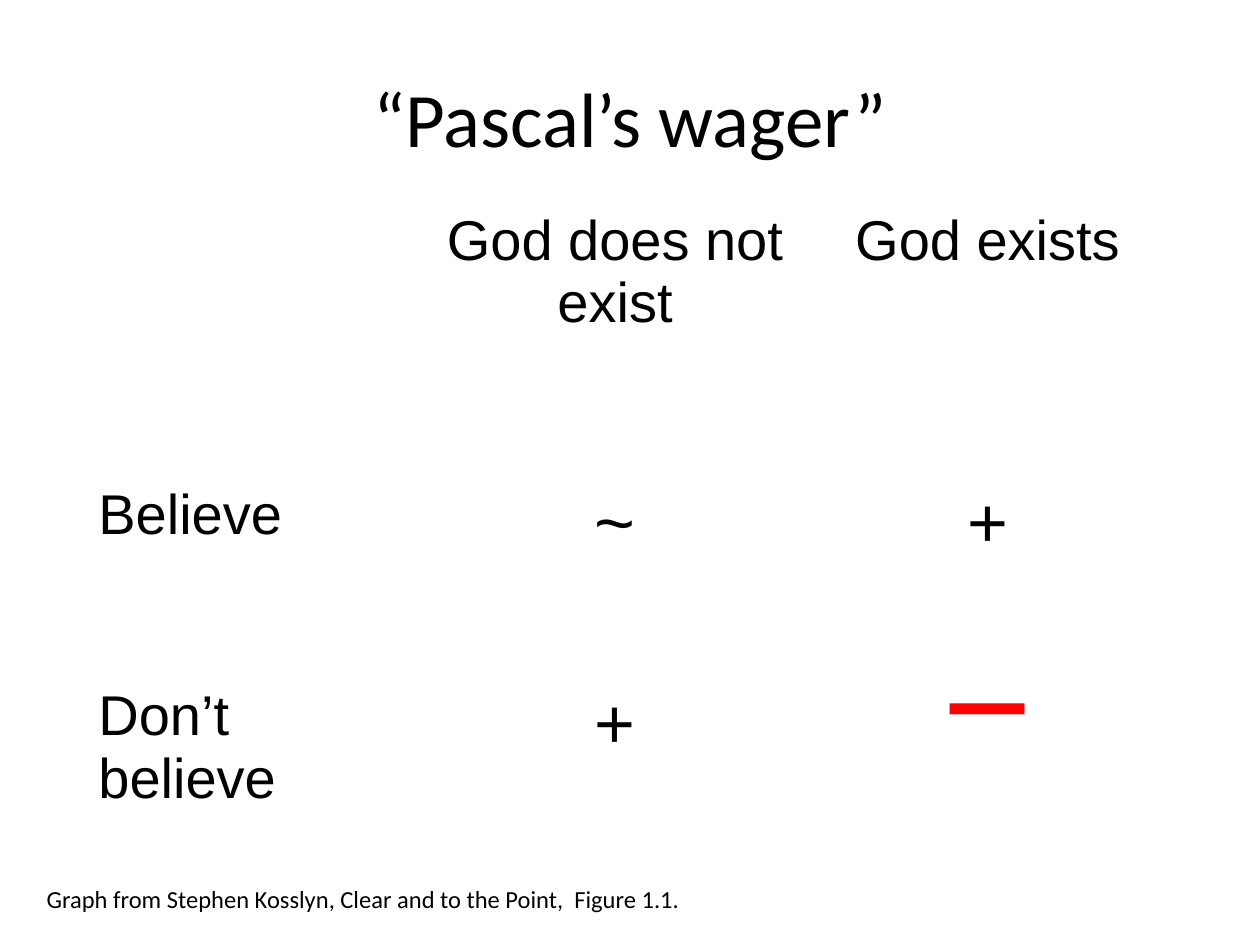
from dataclasses import dataclass

from pptx import Presentation
from pptx.dml.color import RGBColor
from pptx.enum.text import MSO_ANCHOR, PP_ALIGN
from pptx.util import Cm, Pt


@dataclass(frozen=True)
class Theme:
    black: RGBColor = RGBColor(0, 0, 0)
    red: RGBColor = RGBColor(255, 0, 0)
    heading_font: str = "Calibri"
    table_font: str = "Arial"
    title_size: Pt = Pt(44)
    label_size: Pt = Pt(32)
    symbol_size: Pt = Pt(40)
    minus_size: Pt = Pt(88)
    caption_size: Pt = Pt(14)


THEME = Theme()
INSET = Cm(0.13)
LOWERED_INSET = Cm(1.43)

COLUMN_WIDTHS = [Cm(7.01), Cm(7.32), Cm(7.7)]
ROW_HEIGHTS = [Cm(4.24), Cm(4.05), Cm(4.24)]

LABEL = {"name": THEME.table_font, "size": THEME.label_size, "color": THEME.black}
SYMBOL = LABEL | {"size": THEME.symbol_size}
MINUS = LABEL | {"size": THEME.minus_size, "color": THEME.red}
TITLE = LABEL | {"name": THEME.heading_font, "size": THEME.title_size}
CAPTION = TITLE | {"size": THEME.caption_size}

OUTCOMES = [
    [("", LABEL), ("God does not exist", LABEL), ("God exists", LABEL)],
    [("Believe", LABEL), ("~", SYMBOL), ("+", SYMBOL)],
    [("Don’t believe", LABEL), ("+", SYMBOL), ("−", MINUS)],
]


def write_text(text_frame, text, font_format, alignment):
    text_frame.word_wrap = True
    paragraph = text_frame.paragraphs[0]
    paragraph.alignment = alignment
    if not text:
        return
    run = paragraph.add_run()
    run.text = text
    for name, value in font_format.items():
        if name == "color":
            run.font.color.rgb = value
        else:
            setattr(run.font, name, value)


def add_title(slide, text):
    title = slide.shapes.title
    place = {"left": Cm(1.27), "top": Cm(0.76), "width": Cm(22.86), "height": Cm(3.18)}
    for name, value in place.items():
        setattr(title, name, value)
    title.text_frame.vertical_anchor = MSO_ANCHOR.MIDDLE
    write_text(title.text_frame, text, TITLE, PP_ALIGN.CENTER)


def fill_cell(cell, text, font_format, alignment, top_inset):
    cell.fill.background()
    cell.margin_top = top_inset
    write_text(cell.text_frame, text, font_format, alignment)


def add_outcome_table(slide):
    """Add the grid; body entries sit lower in their cells, except the large minus."""
    table = slide.shapes.add_table(
        len(ROW_HEIGHTS), len(COLUMN_WIDTHS), Cm(1.73), Cm(4.09),
        sum(COLUMN_WIDTHS), sum(ROW_HEIGHTS),
    ).table
    table.first_row = False
    table.horz_banding = False
    for column, width in zip(table.columns, COLUMN_WIDTHS):
        column.width = width
    for row, height in zip(table.rows, ROW_HEIGHTS):
        row.height = height
    for row_index, entries in enumerate(OUTCOMES):
        for column_index, (text, font_format) in enumerate(entries):
            lowered = row_index > 0 and font_format is not MINUS
            fill_cell(
                table.cell(row_index, column_index), text, font_format,
                PP_ALIGN.CENTER if column_index else PP_ALIGN.LEFT,
                LOWERED_INSET if lowered else INSET,
            )


def add_caption(slide, text):
    caption = slide.shapes.add_textbox(Cm(0.69), Cm(17.58), Cm(14.38), Cm(1.22))
    for side in ("left", "top", "right", "bottom"):
        setattr(caption.text_frame, f"margin_{side}", Cm(0.25))
    write_text(caption.text_frame, text, CAPTION, PP_ALIGN.LEFT)


def main():
    presentation = Presentation()
    presentation.slide_width = Cm(25.4)
    presentation.slide_height = Cm(19.05)
    slide = presentation.slides.add_slide(presentation.slide_layouts[5])
    add_title(slide, "“Pascal’s wager”")
    add_outcome_table(slide)
    add_caption(slide, "Graph from Stephen Kosslyn, Clear and to the Point,  Figure 1.1.")
    presentation.save("out.pptx")


if __name__ == "__main__":
    main()
